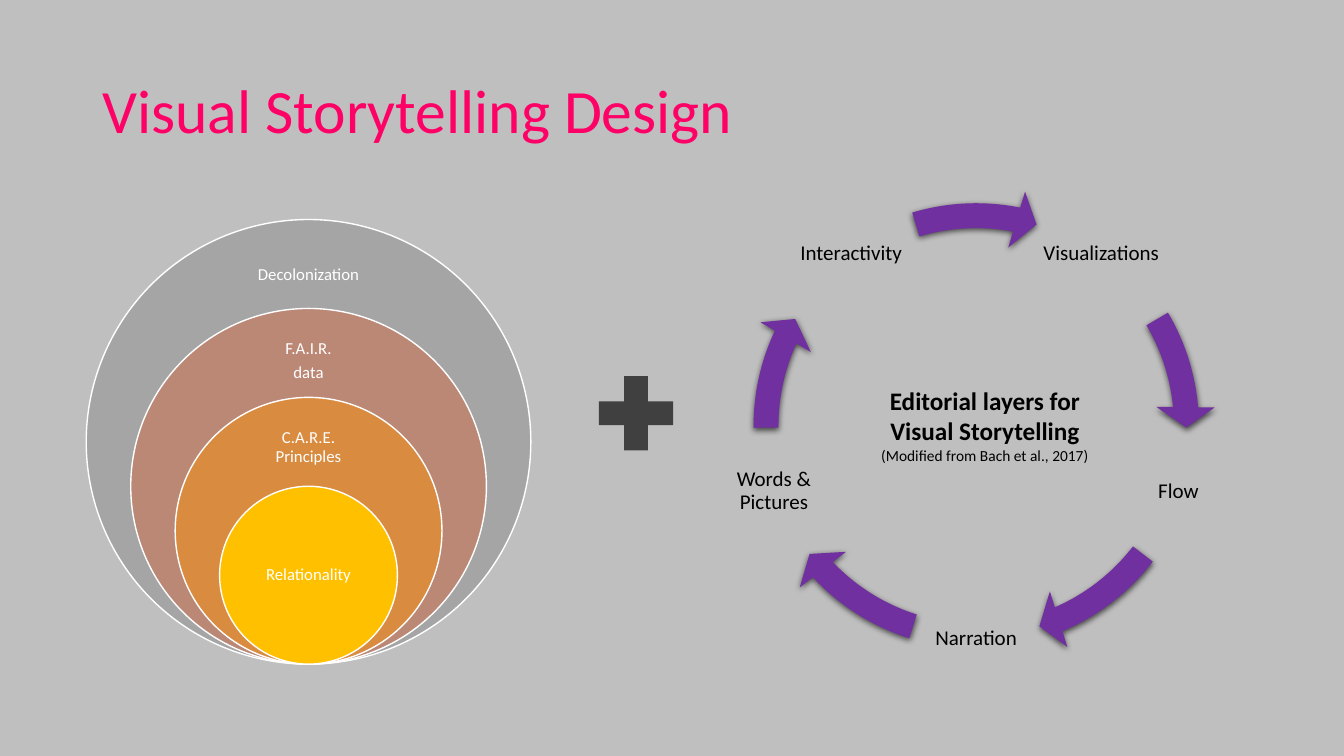
"""Build the Visual Storytelling Design slide."""
import math

import pptx
import pptx.dml.color
import pptx.enum.shapes
import pptx.enum.text
import pptx.oxml
import pptx.oxml.ns
import pptx.util

Pt = pptx.util.Pt
SHAPES = pptx.enum.shapes.MSO_SHAPE
ALIGN = pptx.enum.text.PP_ALIGN
ANCHOR = pptx.enum.text.MSO_ANCHOR


def color(value):
    return pptx.dml.color.RGBColor.from_string(value)


class StorySlide:
    font_name = "Calibri"
    arrow_color = "7030A0"

    def __init__(self, presentation):
        self.slide = presentation.slides.add_slide(presentation.slide_layouts[6])
        self.slide.background.fill.solid()
        self.slide.background.fill.fore_color.rgb = color("BFBFBF")

    def text(self, box, content, size, ink, align=ALIGN.CENTER, inset=None,
             line_spacing=0.9, space_after=0, wrap=True):
        shape = self.slide.shapes.add_textbox(*map(Pt, box))
        frame = shape.text_frame
        frame.word_wrap = wrap
        frame.vertical_anchor = ANCHOR.MIDDLE
        if inset is not None:
            frame.margin_left = frame.margin_right = Pt(inset)
            frame.margin_top = frame.margin_bottom = Pt(inset)
        frame.text = content
        for paragraph in frame.paragraphs:
            paragraph.alignment = align
            paragraph.line_spacing = line_spacing
            paragraph.space_after = Pt(space_after)
            for run in paragraph.runs:
                run.font.name = self.font_name
                run.font.size = Pt(size)
                run.font.color.rgb = color(ink)
        return frame

    def shape(self, kind, box, fill, line=None):
        shape = self.slide.shapes.add_shape(kind, *map(Pt, box))
        shape.shadow.inherit = False
        shape.fill.solid()
        shape.fill.fore_color.rgb = color(fill)
        if line:
            shape.line.color.rgb = color(line)
            shape.line.width = Pt(1)
        else:
            shape.line.fill.background()
        return shape

    def arrow(self, box, head_angle, tail_angle):
        shape = self.shape(SHAPES.CIRCULAR_ARROW, box, self.arrow_color)
        for index, value in enumerate((0.052, 3.359, head_angle, tail_angle, 0.061)):
            shape.adjustments[index] = value
        effects = shape._element.spPr.find(pptx.oxml.ns.qn("a:effectLst"))
        effects.append(pptx.oxml.parse_xml(
            f'<a:outerShdw {pptx.oxml.ns.nsdecls("a")} blurRad="{Pt(4.5)}" '
            f'dist="{Pt(1.5)}" dir="5400000" algn="ctr" rotWithShape="0">'
            '<a:srgbClr val="000000"><a:alpha val="63000"/></a:srgbClr></a:outerShdw>'))


def add_cycle(story):
    center_x, center_y, radius, label_size, ring = 697.3, 304.2, 151.9, 91.4, 342
    ring_box = (526.3, 133.2, ring, ring)
    steps = [
        ("Visualizations", 212.933, 197.662),
        ("Flow", 40.147, 22.534),
        ("Narration", 82.107, 64.494),
        ("Words & Pictures", 122.979, 107.708),
        ("Interactivity", 168.657, 151.984),
    ]
    for index, (label, head_angle, tail_angle) in enumerate(steps):
        angle = math.radians(72 * index - 54)
        left = center_x + radius * math.cos(angle) - label_size / 2
        top = center_y + radius * math.sin(angle) - label_size / 2
        story.text((left, top, label_size, label_size), label, 15, "000000",
                   inset=1.5, space_after=5.2)
        story.arrow(ring_box, head_angle, tail_angle)


def add_nested_circles(story):
    center_x, bottom, largest = 220.4, 474.4, 317.6
    circles = [
        ("Decolonization", "A5A5A5", 172.8, 47.5),
        ("F.A.I.R.\ndata", "BB8876", 235.4, 45.4),
        ("C.A.R.E. Principles", "D98B3F", 298.1, 43.2),
        ("Relationality", "FFC000", 379.4, 63.4),
    ]
    for index, (label, fill, label_top, label_height) in enumerate(circles):
        diameter = largest * (1 - 0.2 * index)
        story.shape(SHAPES.OVAL, (center_x - diameter / 2, bottom - diameter,
                                  diameter, diameter), fill, "FFFFFF")
        story.text((center_x - 44.5, label_top, 89, label_height), label, 12,
                   "FFFFFF", inset=6.7, space_after=4.2)


def main():
    presentation = pptx.Presentation()
    presentation.slide_width = Pt(960)
    presentation.slide_height = Pt(540)
    story = StorySlide(presentation)
    story.text((66, 28.8, 828, 104.4), "Visual Storytelling Design", 44, "FF0066",
               align=ALIGN.LEFT)
    add_cycle(story)
    add_nested_circles(story)
    story.shape(SHAPES.MATH_PLUS, (418.3, 259.2, 72, 72), "404040")
    caption = story.text(
        (621.4, 271.4, 164.2, 64.1),
        "Editorial layers for\nVisual Storytelling\n(Modified from Bach et al., 2017)",
        18, "000000", line_spacing=1, wrap=False)
    for paragraph in caption.paragraphs[:2]:
        paragraph.runs[0].font.bold = True
    caption.paragraphs[2].runs[0].font.size = Pt(11)
    presentation.save("out.pptx")


if __name__ == "__main__":
    main()
